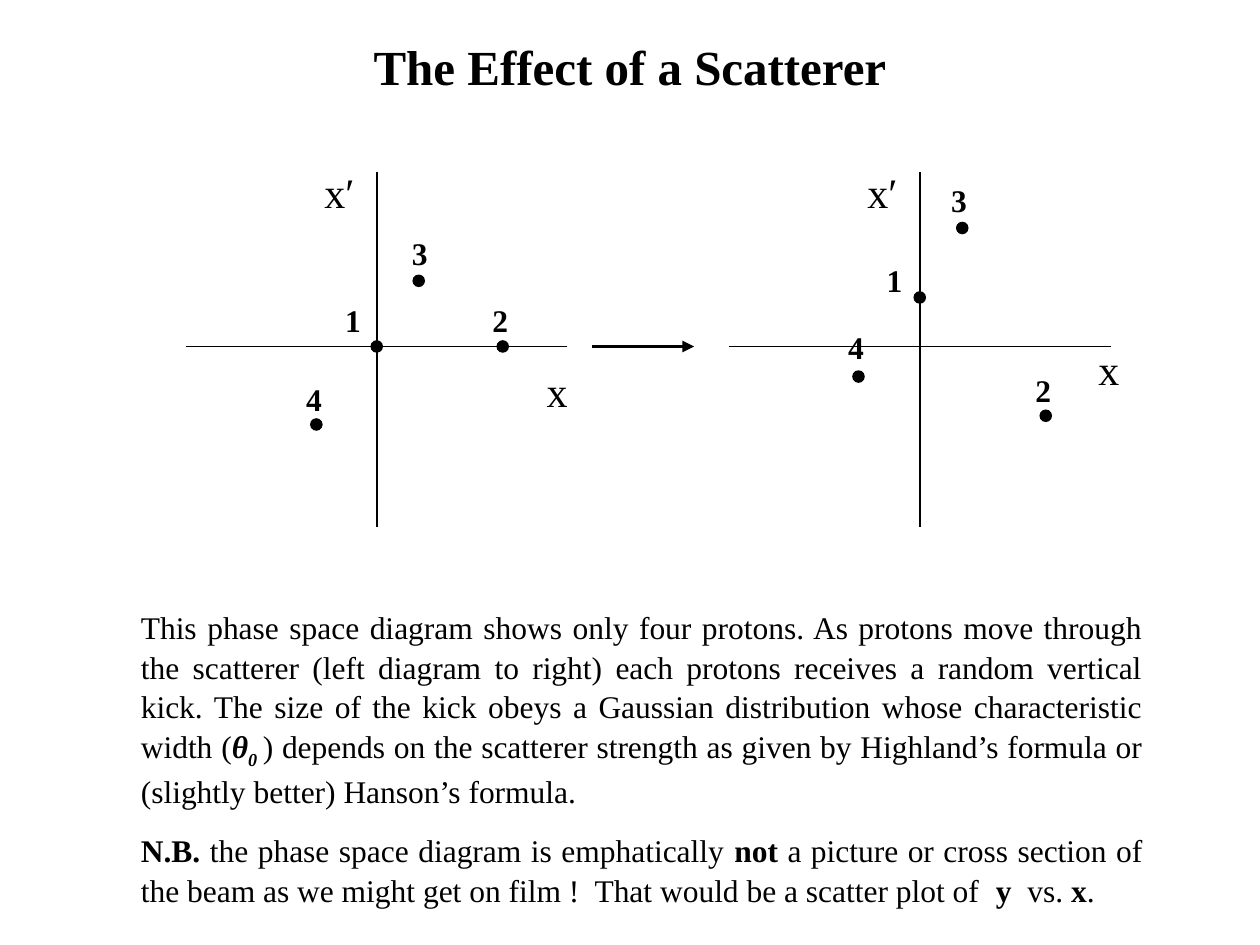
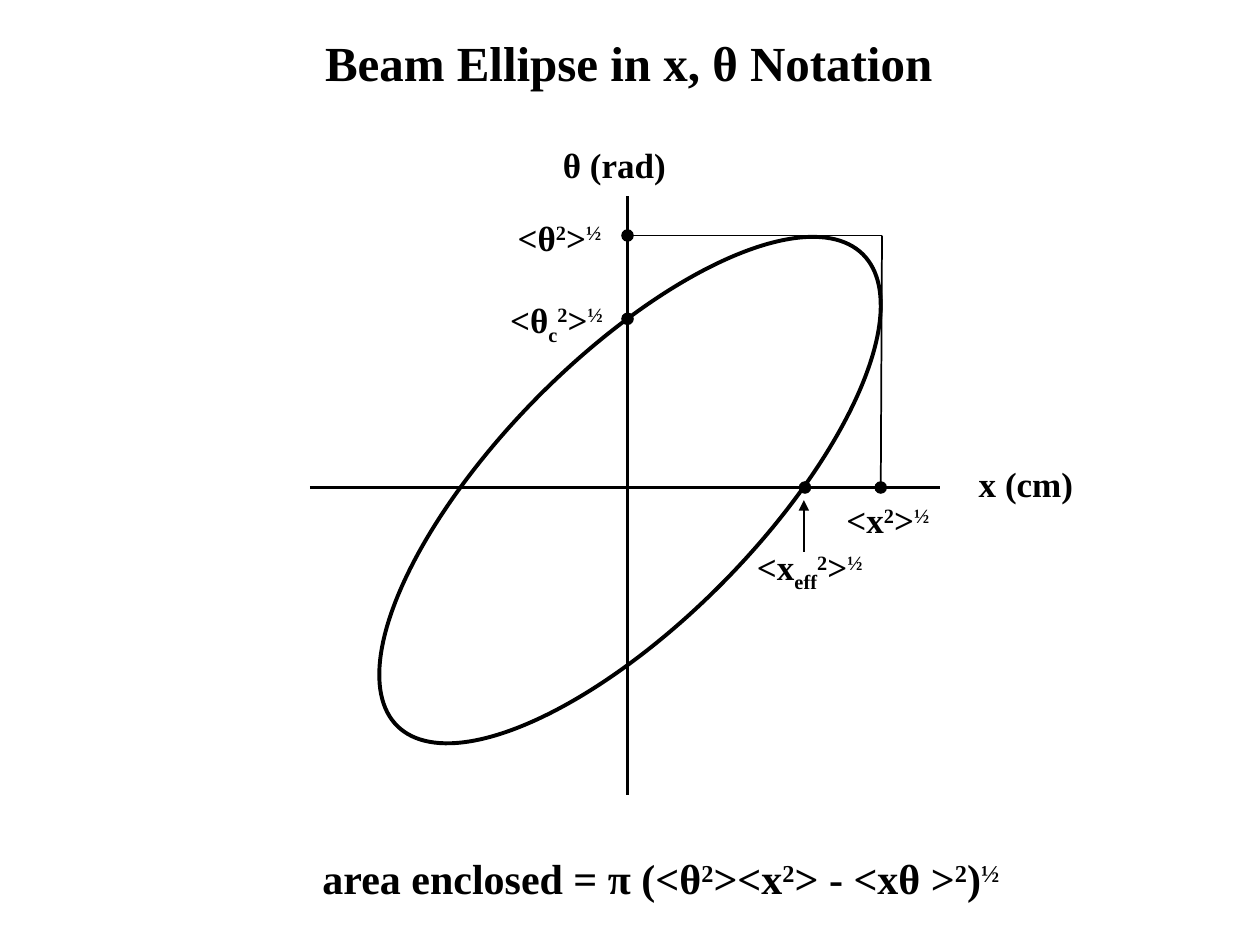
"""Build two beam optics slides: scattering of protons and the beam ellipse."""
import pptx
import pptx.dml.color
import pptx.enum.shapes
import pptx.enum.text
import pptx.util
from lxml import etree
from pptx.oxml.ns import qn

Pt = pptx.util.Pt
ALIGN = pptx.enum.text.PP_ALIGN
BLACK = pptx.dml.color.RGBColor(0, 0, 0)
FONT = "Times New Roman"
DOT_SIZE = 7.2
BASELINES = {"^": "30000", "_": "-25000"}

SCATTER_TITLE = "The Effect of a Scatterer"
SCATTER_TEXT = [
    [
        ("This phase space diagram shows only four protons. As protons move through the "
         "scatterer (left diagram to right) each protons receives a random vertical kick. "
         "The size of the kick obeys a Gaussian distribution whose characteristic width (", ""),
        ("θ", "bi"),
        ("0 ", "bi_"),
        (") depends on the scatterer strength as given by Highland’s formula or "
         "(slightly better) Hanson’s formula.", ""),
    ],
    [
        ("N.B.", "b"),
        (" the phase space diagram is emphatically ", ""),
        ("not", "b"),
        (" a picture or cross section of the beam as we might get on film !  "
         "That would be a scatter plot of  ", ""),
        ("y", "b"),
        ("  vs. ", ""),
        ("x", "b"),
        (".", ""),
    ],
]
AXIS_LEFT, AXIS_RIGHT, AXIS_UP, AXIS_DOWN = 109, 109, 99.5, 103
PHASE_SPACES = [
    {
        "origin": (215.3, 198),
        "x_label": (90, 7.2),
        "protons": [
            ("1", (0, 0), (-25.2, -29.5)),
            ("2", (72, 0), (-13, -29.5)),
            ("3", (24, -37.5), (-11, -30.2)),
            ("4", (-34.5, 44.6), (-13, -29)),
        ],
    },
    {
        "origin": (525.6, 198),
        "x_label": (95, -5),
        "protons": [
            ("1", (0, -28), (-26, -24.5)),
            ("2", (72, 39.6), (-13, -29)),
            ("3", (24.3, -67.7), (-13.5, -30.2)),
            ("4", (-35, 17.2), (-13, -31)),
        ],
    },
]

ELLIPSE_TITLE = "Beam Ellipse in x, θ Notation"
ELLIPSE_FRAME = (285.1, 90.7, 149.8, 378.7)
ELLIPSE_ANGLE = 44.6
CENTER_X, CENTER_Y = 358.6, 278.6
X_RMS, X_EFFECTIVE = 503.3, 460
THETA_RMS, THETA_CENTRAL = 134.6, 182.2
AREA_FORMULA = [
    ("area enclosed = π (<θ", "b"), ("2", "b^"), ("><x", "b"), ("2", "b^"),
    ("> - <xθ >", "b"), ("2", "b^"), (")", "b"), ("½", "b^"),
]


def rms(symbol, index=""):
    """Return the spans of a root mean square symbol."""
    subscript = [(index, "b_")] if index else []
    return [("<" + symbol, "b"), *subscript, ("2", "b^"), (">", "b"), ("½", "b^")]


ELLIPSE_LABELS = [
    ((552.2, 260.6, 78.5, 31.7), [("x (cm)", "b")]),
    ((314.6, 78.5, 81.4, 34.6), [("θ (rad)", "b")]),
    ((288.7, 120.2, 65.5, 31.7), rms("θ")),
    ((476.6, 281.5, 65.5, 31.7), rms("x")),
    ((284.4, 167, 71.3, 34.6), rms("θ", "c")),
    ((425.5, 308.2, 81.4, 34.6), rms("x", "eff")),
]


def add_text(page, frame, paragraphs, size, align=ALIGN.LEFT, wrap=False):
    """Add a text box whose paragraphs are lists of (text, style) spans."""
    box = page.shapes.add_textbox(*map(Pt, frame))
    text_frame = box.text_frame
    text_frame.word_wrap = wrap
    for number, spans in enumerate(paragraphs):
        para = text_frame.add_paragraph() if number else text_frame.paragraphs[0]
        para.alignment = align
        for text, style in spans:
            span = para.add_run()
            span.text = text
            span.font.name = FONT
            span.font.size = Pt(size)
            span.font.color.rgb = BLACK
            span.font.bold = "b" in style
            span.font.italic = "i" in style
            for mark, baseline in BASELINES.items():
                if mark in style:
                    span._r.get_or_add_rPr().set("baseline", baseline)
    return text_frame


def add_title(page, title, left, top):
    """Add the centred bold slide title."""
    text_frame = add_text(page, (left, top, 648, 39.6), [[(title, "b")]], 28, ALIGN.CENTER, True)
    text_frame.vertical_anchor = pptx.enum.text.MSO_ANCHOR.MIDDLE


def add_line(page, start, end, width=1, arrow=False):
    """Add a straight black line, with an arrowhead at its end if asked."""
    line = page.shapes.add_connector(
        pptx.enum.shapes.MSO_CONNECTOR.STRAIGHT, *map(Pt, (*start, *end)))
    line.line.color.rgb = BLACK
    line.line.width = Pt(width)
    if arrow:
        etree.SubElement(line.line._get_or_add_ln(), qn("a:tailEnd"), type="triangle")
    etree.SubElement(line._element.spPr, qn("a:effectLst"))


def add_ellipse(page, frame):
    """Add an ellipse without shadow."""
    ellipse = page.shapes.add_shape(pptx.enum.shapes.MSO_SHAPE.OVAL, *map(Pt, frame))
    ellipse.shadow.inherit = False
    return ellipse


def add_dot(page, x, y):
    """Add a black dot centred on a point."""
    dot = add_ellipse(page, (x - DOT_SIZE / 2, y - DOT_SIZE / 2, DOT_SIZE, DOT_SIZE))
    dot.fill.solid()
    dot.fill.fore_color.rgb = BLACK
    dot.line.fill.background()


def add_phase_space(page, origin, x_label, protons):
    """Draw one pair of axes with its numbered protons."""
    x, y = origin
    add_line(page, (x, y - AXIS_UP), (x, y + AXIS_DOWN))
    add_line(page, (x + AXIS_RIGHT, y), (x - AXIS_LEFT, y))
    add_text(page, (x - 37, y - 106.2, 32.4, 36), [[("x′", "")]], 24)
    add_text(page, (x + x_label[0], y + x_label[1], 28, 36), [[("x", "")]], 24)
    for name, (dx, dy), (label_dx, label_dy) in protons:
        frame = (x + dx + label_dx, y + dy + label_dy, 24.5, 28.8)
        add_text(page, frame, [[(name, "b")]], 18)
        add_dot(page, x + dx, y + dy)


def build_scatterer(page):
    """Fill the slide on the scatterer."""
    add_title(page, SCATTER_TITLE, 36, 18)
    for phase_space in PHASE_SPACES:
        add_phase_space(page, **phase_space)
    add_line(page, (338.4, 198), (396.7, 198), 2.25, arrow=True)
    text_frame = add_text(
        page, (73.4, 342.7, 586.8, 190), SCATTER_TEXT, 18, ALIGN.JUSTIFY, True)
    for para in text_frame.paragraphs:
        para.line_spacing = 1.05
    text_frame.paragraphs[1].space_before = Pt(11.2)


def build_ellipse(page):
    """Fill the slide on the beam ellipse."""
    add_title(page, ELLIPSE_TITLE, 35.3, 15.8)
    add_line(page, (CENTER_X, 112.3), (CENTER_X, 454.3), 1.5)
    add_line(page, (177.1, CENTER_Y), (537.1, CENTER_Y), 1.5)
    ellipse = add_ellipse(page, ELLIPSE_FRAME)
    ellipse.rotation = ELLIPSE_ANGLE
    ellipse.fill.background()
    ellipse.line.color.rgb = BLACK
    ellipse.line.width = Pt(2.25)
    corner = (504, THETA_RMS)
    add_line(page, (CENTER_X, THETA_RMS), corner)
    add_line(page, corner, (X_RMS, CENTER_Y))
    for x in (X_EFFECTIVE, X_RMS):
        add_dot(page, x, CENTER_Y)
    for y in (THETA_RMS, THETA_CENTRAL):
        add_dot(page, CENTER_X, y)
    add_line(page, (459.4, 315.4), (459.4, 285.8), arrow=True)
    for frame, spans in ELLIPSE_LABELS:
        add_text(page, frame, [spans], 20)
    add_text(page, (74.9, 483.8, 605.5, 28.8), [AREA_FORMULA], 24, ALIGN.CENTER, True)


def main():
    """Build and save the deck."""
    deck = pptx.Presentation()
    deck.slide_width, deck.slide_height = Pt(720), Pt(540)
    for build in (build_scatterer, build_ellipse):
        build(deck.slides.add_slide(deck.slide_layouts[6]))
    deck.save("out.pptx")


if __name__ == "__main__":
    main()
